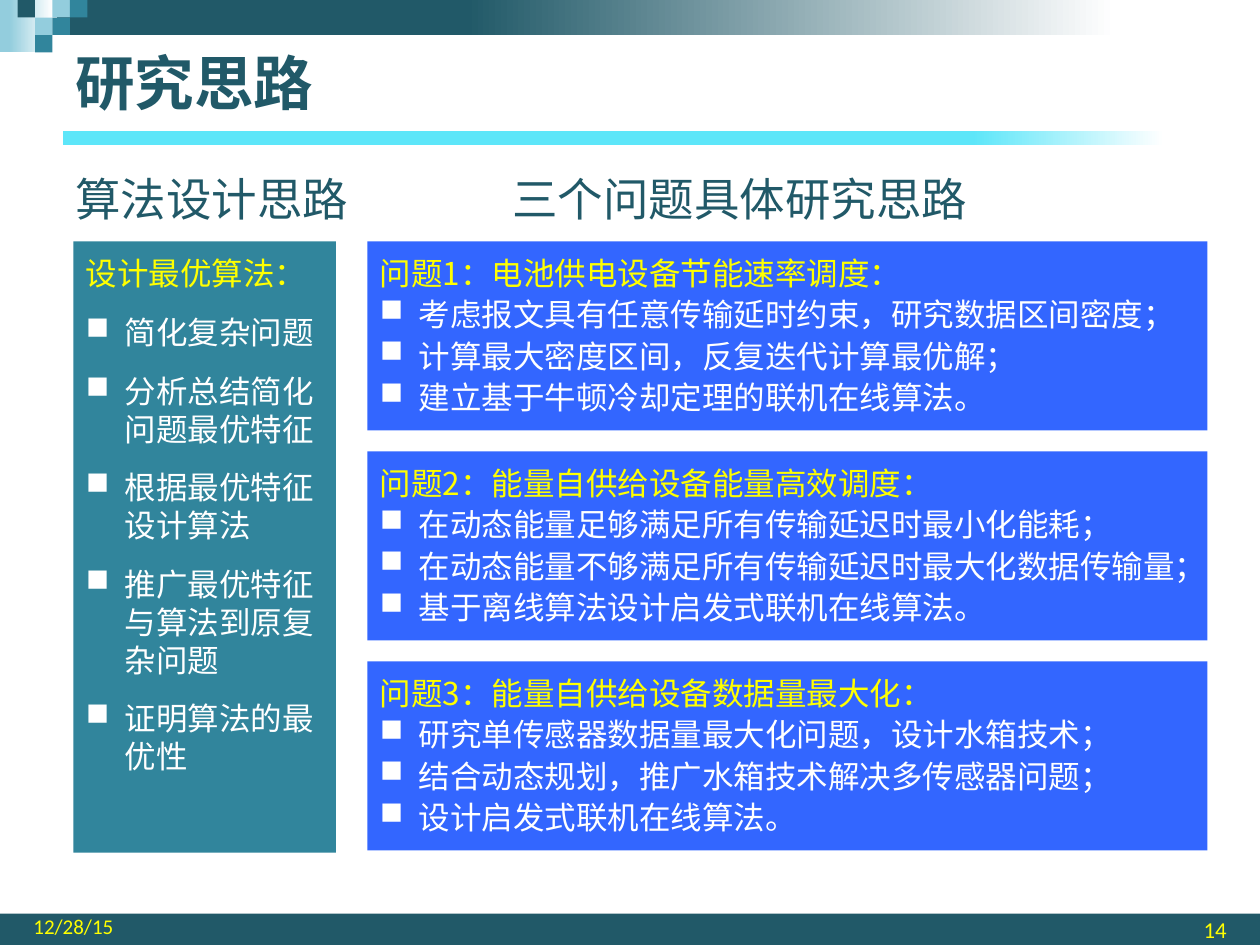
from pptx import Presentation
from pptx.dml.color import RGBColor
from pptx.enum.shapes import MSO_SHAPE
from pptx.enum.text import MSO_ANCHOR, PP_ALIGN
from pptx.oxml.ns import qn
from pptx.util import Inches, Pt

RECT = MSO_SHAPE.RECTANGLE
TOP, MID, LOW = MSO_ANCHOR.TOP, MSO_ANCHOR.MIDDLE, MSO_ANCHOR.BOTTOM
LEFT, RIGHT = PP_ALIGN.LEFT, PP_ALIGN.RIGHT
DARK, TEAL, PALE, CYAN = "215968", "31859C", "93CDDD", "5DE6F9"
BLUE, GOLD, WHITE = "3366FF", "FFFF00", "FFFFFF"
HAN, LATIN = "Noto Sans CJK SC", "Calibri"

deck = Presentation()
deck.slide_width, deck.slide_height = Inches(10), Inches(7.5)
# The grid has 120 columns and 90 rows of square cells.
CELL = deck.slide_width / 120
slide = deck.slides.add_slide(deck.slide_layouts[6])


def block(x, y, w, h, *stops):
    """Add a rectangle in grid cells; stops is one colour, or two (share, colour) pairs."""
    shape = slide.shapes.add_shape(RECT, *(round(n * CELL) for n in (x, y, w, h)))
    shape.shadow.inherit = False
    shape.line.fill.background()
    if len(stops) == 1:
        shape.fill.solid()
        shape.fill.fore_color.rgb = RGBColor.from_string(stops[0])
    else:
        shape.fill.gradient()
        shape.fill.gradient_angle = 0
        for stop, (share, color) in zip(shape.fill.gradient_stops, stops):
            stop.position = share
            stop.color.rgb = RGBColor.from_string(color)
    return shape


def write(shape, text, size=18, color=DARK, font=HAN, bold=False, align=LEFT,
          anchor=TOP, gap=0, bullet=False, pad=None):
    """Add one paragraph to a shape, the first one filling its empty paragraph."""
    frame = shape.text_frame
    frame.word_wrap, frame.vertical_anchor = True, anchor
    if pad is not None:
        frame.margin_left = frame.margin_right = Inches(pad)
        frame.margin_top = frame.margin_bottom = Inches(pad)
    first = not frame.text
    para = frame.paragraphs[0] if first else frame.add_paragraph()
    para.alignment = align
    para.space_before, para.space_after = Pt(0 if first else gap), Pt(gap)
    if bullet:
        props = para._p.get_or_add_pPr()
        props.set("marL", str(Inches(0.31)))
        props.set("indent", str(-Inches(0.31)))
        props.makeelement(qn("a:buChar"), {})
        mark = props.makeelement(qn("a:buChar"), {"char": "■"})
        props.append(mark)
    run = para.add_run()
    run.text = text
    run.font.size, run.font.bold, run.font.name = Pt(size), bold, font
    run.font.color.rgb = RGBColor.from_string(color)
    east = run._r.get_or_add_rPr().makeelement(qn("a:ea"), {"typeface": HAN})
    run.font._element.find(qn("a:latin")).addnext(east)


# Bands and corner tiles
block(0, 87, 120, 3, DARK)
block(6, 12.5, 114, 1.3, (0.76, CYAN), (0.92, WHITE))
tile = 5 / 3
block(0, 0, 3 * tile, 3 * tile, (0.18, PALE), (1, WHITE))
block(5.4, 0, 114.6, 2 * tile, (0.34, DARK), (0.88, WHITE))
for col, row, color in [(3, 0, PALE), (4, 0, TEAL), (2, 1, PALE),
                        (1, 0, DARK), (3, 1, TEAL), (2, 2, TEAL)]:
    block(col * tile, row * tile, tile, tile, color)

# Title, headings and footer
for x, y, w, h, text, look in [
    (6, 3.7, 104.5, 8.2, "研究思路", dict(size=34, bold=True, anchor=MID)),
    (6, 15.7, 36, 7, "算法设计思路", dict(size=26)),
    (47.6, 15.7, 62, 7, "三个问题具体研究思路", dict(size=26)),
    (2, 87, 28, 3, "12/28/15", dict(size=12, color=GOLD, font=LATIN, anchor=LOW)),
    (90, 87, 28, 3, "14", dict(size=13, color=GOLD, font=LATIN, anchor=MID, align=RIGHT)),
]:
    box = slide.shapes.add_textbox(*(round(n * CELL) for n in (x, y, w, h)))
    write(box, text, **look)

# Panels: the method on the left, three problems stacked on the right
method = ("设计最优算法：", ["简化复杂问题", "分析总结简化问题最优特征", "根据最优特征设计算法",
                      "推广最优特征与算法到原复杂问题", "证明算法的最优性"])
tasks = [
    ("问题1：电池供电设备节能速率调度：",
     ["考虑报文具有任意传输延时约束，研究数据区间密度；",
      "计算最大密度区间，反复迭代计算最优解；",
      "建立基于牛顿冷却定理的联机在线算法。"]),
    ("问题2：能量自供给设备能量高效调度：",
     ["在动态能量足够满足所有传输延迟时最小化能耗；",
      "在动态能量不够满足所有传输延迟时最大化数据传输量；",
      "基于离线算法设计启发式联机在线算法。"]),
    ("问题3：能量自供给设备数据量最大化：",
     ["研究单传感器数据量最大化问题，设计水箱技术；",
      "结合动态规划，推广水箱技术解决多传感器问题；",
      "设计启发式联机在线算法。"]),
]
panels = [(7, 23, 25, 58.2, TEAL, 6, method)]
panels += [(35, 23 + 20 * i, 80, 18, BLUE, 1, task) for i, task in enumerate(tasks)]
for x, y, w, h, color, gap, (head, points) in panels:
    panel = block(x, y, w, h, color)
    write(panel, head, color=GOLD, gap=gap, pad=0.1)
    for point in points:
        write(panel, point, color=WHITE, font=LATIN, gap=gap, bullet=True)

deck.save("out.pptx")
